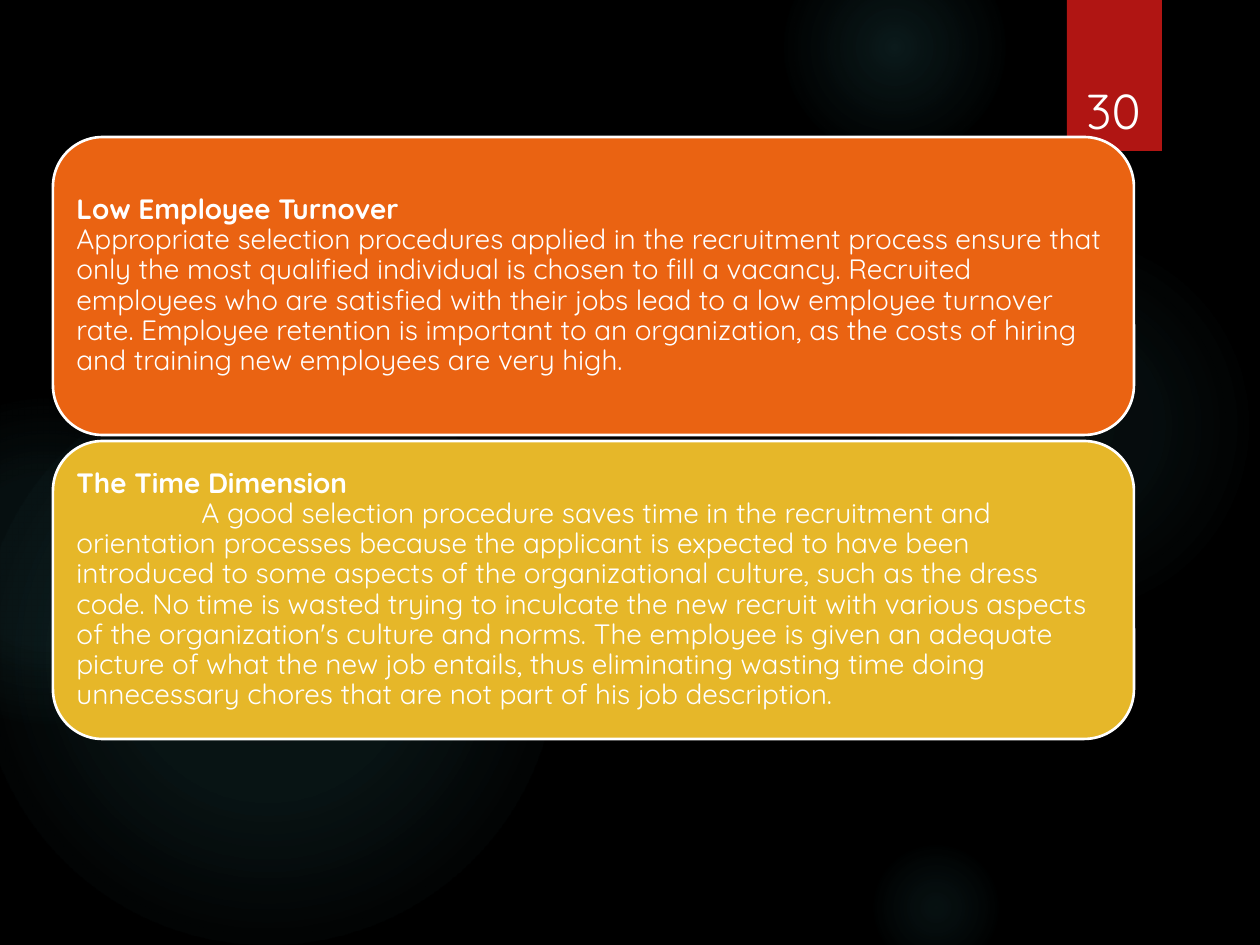
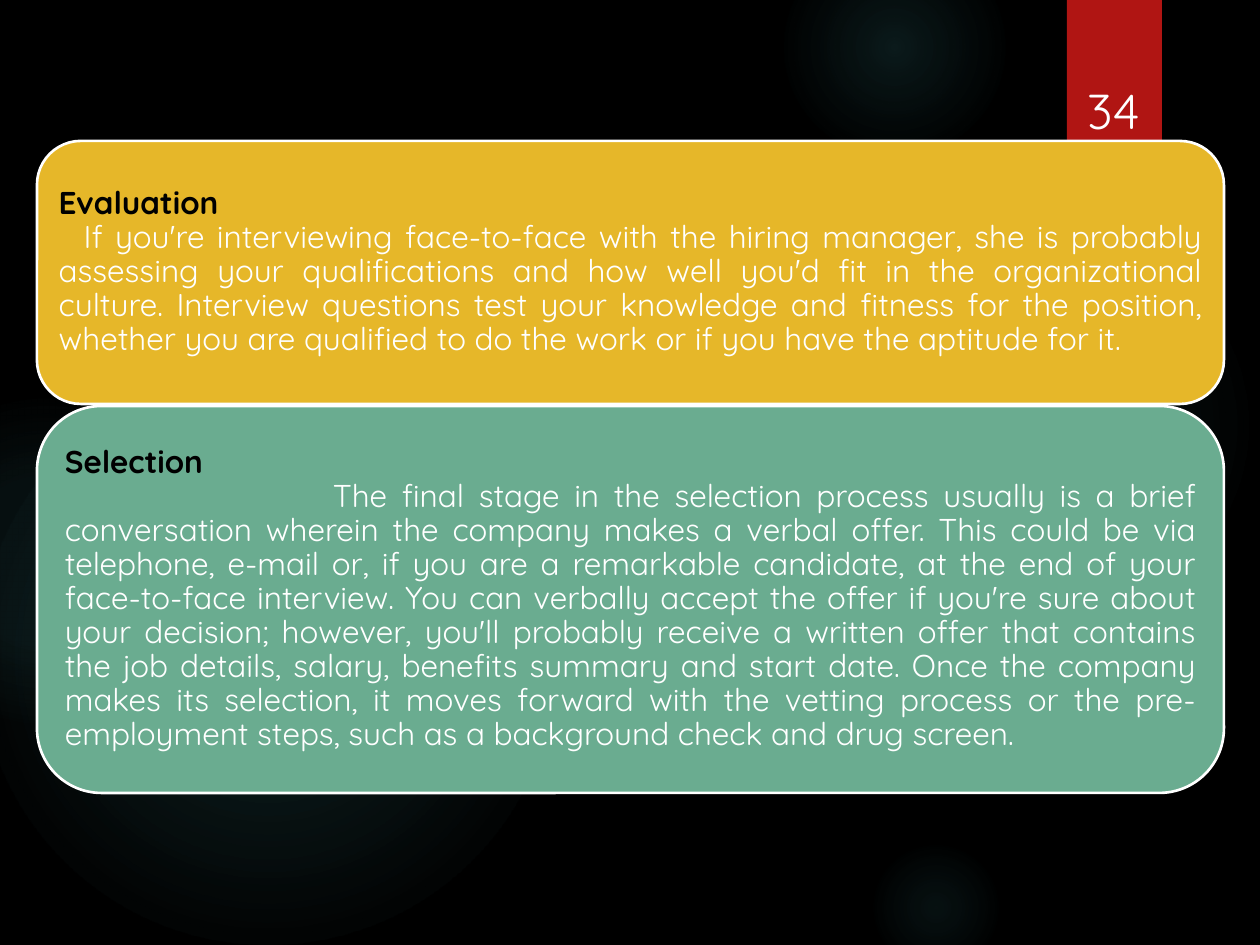
from pptx import Presentation
from pptx.dml.color import RGBColor
from pptx.enum.shapes import MSO_SHAPE as Preset
from pptx.enum.text import MSO_ANCHOR as Anchor, PP_ALIGN as Align
from pptx.oxml import parse_xml
from pptx.oxml.ns import nsdecls, qn
from pptx.util import Emu, Pt

PX = 914400 / 126
SLIDE_SIZE = (1260, 945)
FONT = "Quicksand"

BLACK = RGBColor(0x00, 0x00, 0x00)
WHITE = RGBColor(0xFF, 0xFF, 0xFF)
RED = RGBColor(0xB0, 0x15, 0x13)
ORANGE = RGBColor(0xEA, 0x63, 0x12)
YELLOW = RGBColor(0xE6, 0xB7, 0x29)
GREEN = RGBColor(0x6A, 0xAC, 0x90)
TEAL = RGBColor(0x50, 0xB9, 0xC1)

# left, top, diameter, then (position %, opacity %) stops from the centre out
GLOWS = [
    (868, 231, 388, [(0, 7), (36, 6), (69, 0)]),
    (784, -63, 221, [(0, 14), (36, 7), (73, 0)]),
    (868, 840, 136, [(0, 9), (36, 5), (66, 0)]),
    (-21, 368, 577, [(0, 11), (36, 10), (75, 0)]),
    (-116, 399, 325, [(0, 8), (36, 8), (72, 0)]),
]
RIBBON = (1067, 0, 95, 151)
NUMBER_BOX = (1070, 40, 87, 106)
CARD_INSET = 9

SLIDES = [
    {
        "number": "30", "left": 53, "width": 1081, "top": 137, "gap": 6,
        "size": 16, "heading_color": WHITE, "align": Align.LEFT,
        "cards": [
            {"height": 298, "fill": ORANGE, "indent": 0,
             "heading": "Low Employee Turnover",
             "body": "Appropriate selection procedures applied in the recruitment process "
                     "ensure that only the most qualified individual is chosen to fill a "
                     "vacancy. Recruited employees who are satisfied with their jobs lead to "
                     "a low employee turnover rate. Employee retention is important to an "
                     "organization, as the costs of hiring and training new employees are "
                     "very high."},
            {"height": 298, "fill": YELLOW, "indent": 125,
             "heading": "The Time Dimension",
             "body": "A good selection procedure saves time in the recruitment and "
                     "orientation processes because the applicant is expected to have been "
                     "introduced to some aspects of the organizational culture, such as the "
                     "dress code. No time is wasted trying to inculcate the new recruit with "
                     "various aspects of the organization's culture and norms. The employee "
                     "is given an adequate picture of what the new job entails, thus "
                     "eliminating wasting time doing unnecessary chores that are not part of "
                     "his job description."},
        ],
    },
    {
        "number": "34", "left": 37, "width": 1187, "top": 141, "gap": 2,
        "size": 18, "heading_color": BLACK, "align": Align.JUSTIFY,
        "cards": [
            {"height": 263, "fill": YELLOW, "indent": 25,
             "heading": "Evaluation",
             "body": "If you're interviewing face-to-face with the hiring manager, she is "
                     "probably assessing your qualifications and how well you'd fit in the "
                     "organizational culture. Interview questions test your knowledge and "
                     "fitness for the position, whether you are qualified to do the work or "
                     "if you have the aptitude for it."},
            {"height": 387, "fill": GREEN, "indent": 268,
             "heading": "Selection",
             "body": "The final stage in the selection process usually is a brief "
                     "conversation wherein the company makes a verbal offer. This could be "
                     "via telephone, e-mail or, if you are a remarkable candidate, at the end "
                     "of your face-to-face interview. You can verbally accept the offer if "
                     "you're sure about your decision; however, you'll probably receive a "
                     "written offer that contains the job details, salary, benefits summary "
                     "and start date. Once the company makes its selection, it moves forward "
                     "with the vetting process or the pre-employment steps, such as a "
                     "background check and drug screen."},
        ],
    },
]


def px(length):
    return Emu(round(length * PX))


def add_preset(slide, preset, box, fill=None):
    shape = slide.shapes.add_shape(preset, *map(px, box))
    shape.shadow.inherit = False
    shape.line.fill.background()
    if fill is None:
        shape.fill.background()
    else:
        shape.fill.solid()
        shape.fill.fore_color.rgb = fill
    return shape


def add_run(paragraph, text, size, color, bold=False):
    run = paragraph.add_run()
    run.text = text
    run.font.name = FONT
    run.font.size = Pt(size)
    run.font.bold = bold
    run.font.color.rgb = color


def add_glow(slide, left, top, diameter, stops):
    glow = add_preset(slide, Preset.OVAL, (left, top, diameter, diameter))
    stop_xml = "".join(
        f'<a:gs pos="{position * 1000}"><a:srgbClr val="{TEAL}">'
        f'<a:alpha val="{opacity * 1000}"/></a:srgbClr></a:gs>'
        for position, opacity in stops)
    gradient = parse_xml(
        f'<a:gradFill {nsdecls("a")}><a:gsLst>{stop_xml}</a:gsLst><a:path path="circle">'
        '<a:fillToRect l="50000" t="50000" r="50000" b="50000"/></a:path></a:gradFill>')
    properties = glow.element.spPr
    properties.replace(properties.find(qn("a:noFill")), gradient)
    return glow


def add_ribbon(slide):
    ribbon = add_preset(slide, Preset.RECTANGLE, RIBBON, RED)
    ribbon.element.spPr.find(qn("a:effectLst")).append(parse_xml(
        f'<a:outerShdw {nsdecls("a")} blurRad="{Pt(3)}" dist="{Pt(2)}" dir="5400000">'
        f'<a:srgbClr val="{BLACK}"><a:alpha val="45000"/></a:srgbClr></a:outerShdw>'))
    return ribbon


def move_to_layout(shapes, layout):
    """Make shapes drawn on a slide part of its layout."""
    for shape in shapes:
        layout.element.cSld.spTree.append(shape.element)


def add_number(slide, number):
    frame = slide.shapes.add_textbox(*map(px, NUMBER_BOX)).text_frame
    frame.word_wrap = True
    frame.vertical_anchor = Anchor.BOTTOM
    paragraph = frame.paragraphs[0]
    paragraph.alignment = Align.CENTER
    add_run(paragraph, number, 28, WHITE)


def add_card(slide, page, card, top):
    box = (page["left"], top, page["width"], card["height"])
    shape = add_preset(slide, Preset.ROUNDED_RECTANGLE, box, card["fill"])
    shape.line.color.rgb = WHITE
    shape.line.width = Pt(1.5)
    frame = shape.text_frame
    frame.word_wrap = True
    frame.vertical_anchor = Anchor.MIDDLE
    frame.margin_left = frame.margin_right = px(CARD_INSET)
    frame.margin_top = frame.margin_bottom = px(CARD_INSET)

    heading, body = frame.paragraphs[0], frame.add_paragraph()
    heading.alignment, body.alignment = Align.LEFT, page["align"]
    heading.line_spacing = body.line_spacing = 0.9
    body._p.get_or_add_pPr().set("indent", str(px(card["indent"])))
    add_run(heading, card["heading"], page["size"], page["heading_color"], bold=True)
    add_run(body, card["body"], page["size"], WHITE)


def main():
    presentation = Presentation()
    presentation.slide_width, presentation.slide_height = map(px, SLIDE_SIZE)
    background = presentation.slide_master.background.fill
    background.solid()
    background.fore_color.rgb = BLACK
    layout = presentation.slide_layouts.get_by_name("Blank")
    slides = [presentation.slides.add_slide(layout) for _ in SLIDES]

    glows = [add_glow(slides[0], *glow) for glow in GLOWS]
    move_to_layout([*glows, add_ribbon(slides[0])], layout)

    for slide, page in zip(slides, SLIDES):
        add_number(slide, page["number"])
        top = page["top"]
        for card in page["cards"]:
            add_card(slide, page, card, top)
            top += card["height"] + page["gap"]
    presentation.save("out.pptx")


if __name__ == "__main__":
    main()
